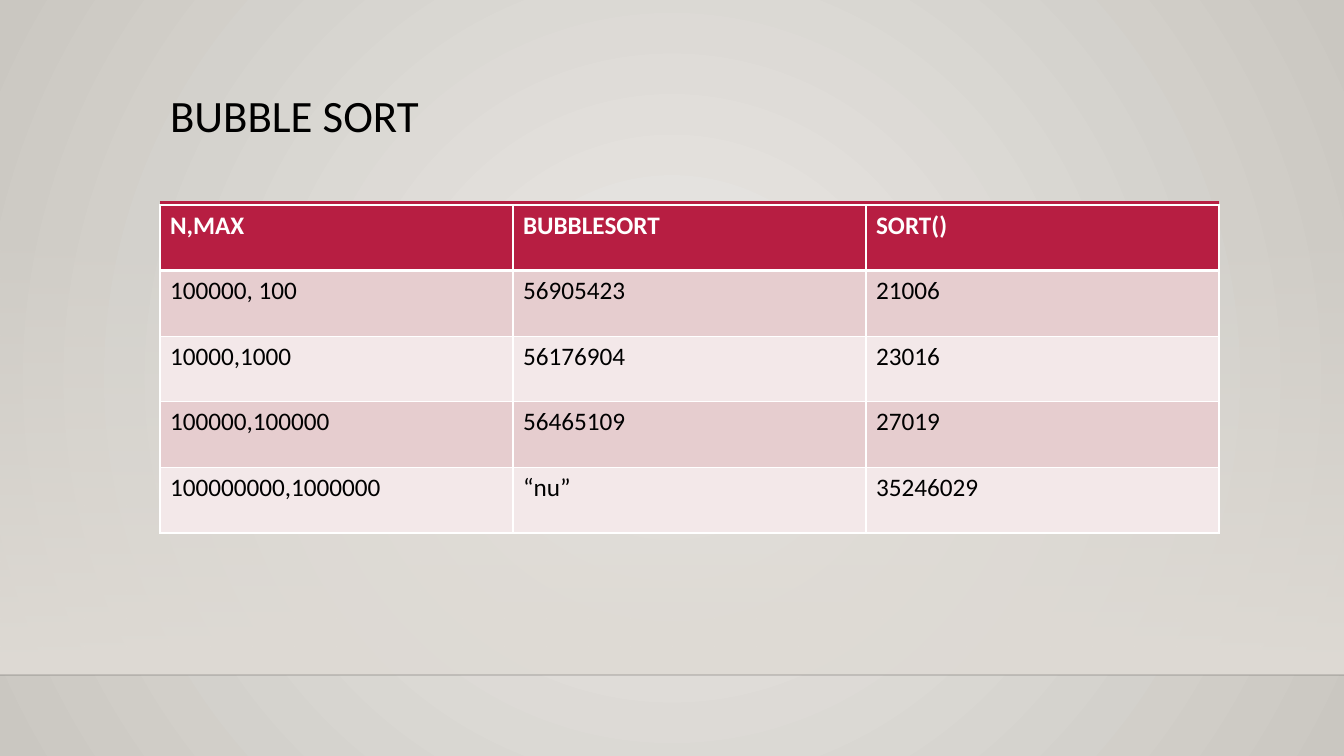
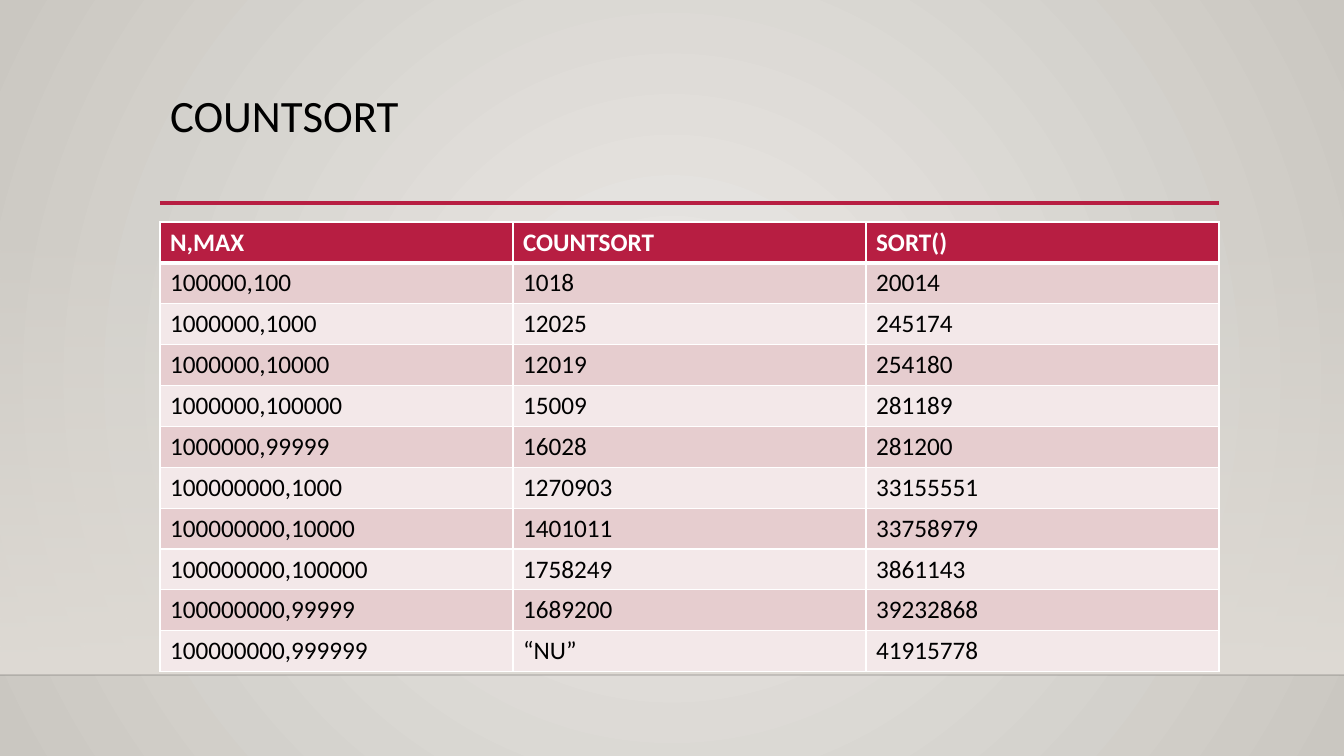
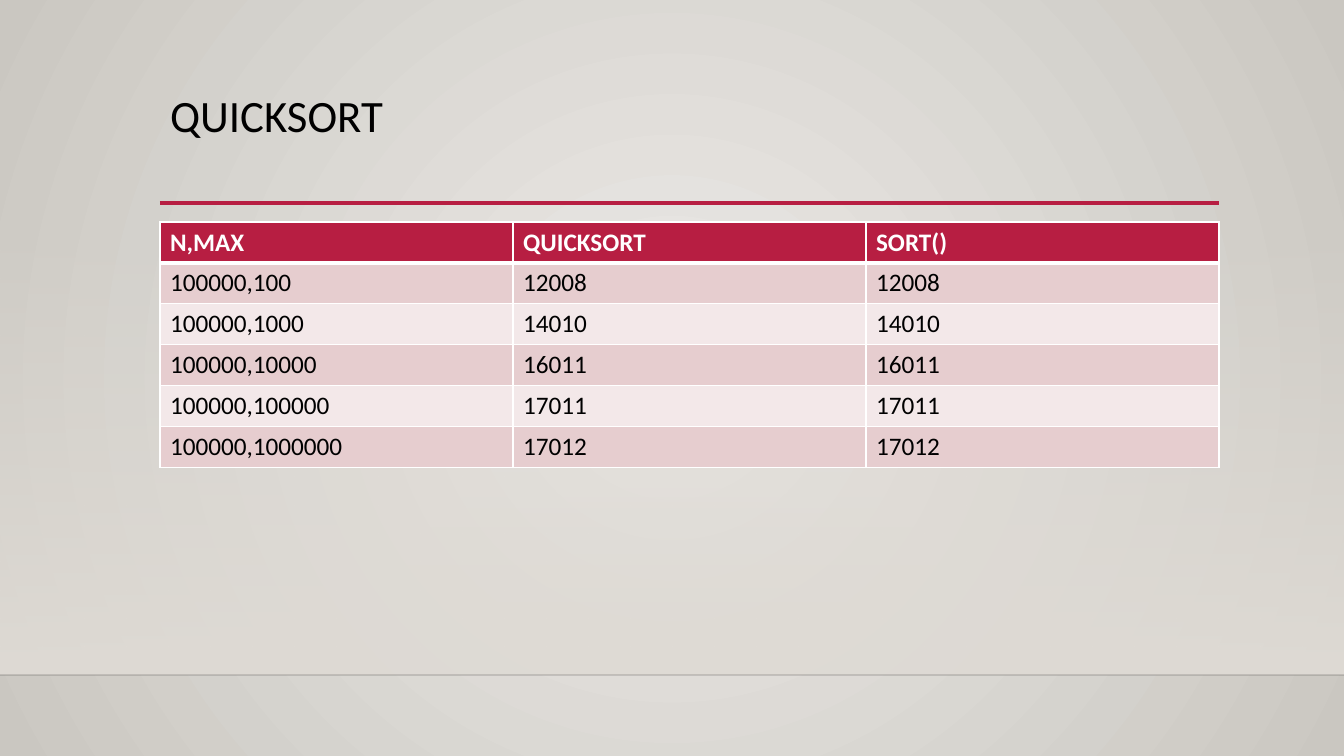
"""Build three slides that compare sorting algorithms with the built-in sort()."""
import pptx
import pptx.dml.color
import pptx.enum.shapes
import pptx.enum.text
import pptx.oxml
import pptx.oxml.ns
import pptx.util
from lxml import etree

RGB = pptx.dml.color.RGBColor
qn = pptx.oxml.ns.qn
NS = pptx.oxml.ns.nsdecls("a")
PX = 914400 / 100.8

RED = RGB(0xB7, 0x1E, 0x42)
PINK = RGB(0xE6, 0xCD, 0xCF)
PALE = RGB(0xF3, 0xE8, 0xE9)
WHITE = RGB(0xFF, 0xFF, 0xFF)
BLACK = RGB(0x00, 0x00, 0x00)
SAND = RGB(0xDF, 0xDB, 0xD5)
LIGHT = RGB(0xEC, 0xEA, 0xE7)
GREY = RGB(0xCA, 0xC7, 0xC1)

W, H = 1344, 756
LEFT, RIGHT, RULE_Y, FLOOR_Y = 160, 1219, 203, 675


def px(*lengths):
    return [pptx.util.Emu(round(n * PX)) for n in lengths]


def write(tf, text, size=18, color=BLACK, bold=False, spacing=None):
    p = tf.paragraphs[0]
    p.alignment = pptx.enum.text.PP_ALIGN.LEFT
    p.line_spacing = spacing
    r = p.add_run()
    r.text = text
    r.font.name = "Calibri"
    r.font.size = pptx.util.Pt(size)
    r.font.bold = bold
    r.font.color.rgb = color


tables = [
    ("BUBBLE SORT", 205, 328, [
        ("N,MAX", "BUBBLESORT", "SORT()"),
        ("100000, 100", "56905423", "21006"),
        ("10000,1000", "56176904", "23016"),
        ("100000,100000", "56465109", "27019"),
        ("100000000,1000000", "“nu”", "35246029"),
    ]),
    ("COUNTSORT", 222, 450, [
        ("N,MAX", "COUNTSORT", "SORT()"),
        ("100000,100", "1018", "20014"),
        ("1000000,1000", "12025", "245174"),
        ("1000000,10000", "12019", "254180"),
        ("1000000,100000", "15009", "281189"),
        ("1000000,99999", "16028", "281200"),
        ("100000000,1000", "1270903", "33155551"),
        ("100000000,10000", "1401011", "33758979"),
        ("100000000,100000", "1758249", "3861143"),
        ("100000000,99999", "1689200", "39232868"),
        ("100000000,999999", "“NU”", "41915778"),
    ]),
    ("QUICKSORT", 222, 245, [
        ("N,MAX", "QUICKSORT", "SORT()"),
        ("100000,100", "12008", "12008"),
        ("100000,1000", "14010", "14010"),
        ("100000,10000", "16011", "16011"),
        ("100000,100000", "17011", "17011"),
        ("100000,1000000", "17012", "17012"),
    ]),
]

prs = pptx.Presentation()
prs.slide_width, prs.slide_height = px(W, H)

master = prs.slide_master
fill = master.background.fill
fill.gradient()
for stop, color in zip(fill.gradient_stops, (LIGHT, GREY)):
    stop.color.rgb = color
lin = next(master.element.iter(qn("a:lin")))
lin.getparent().replace(lin, pptx.oxml.parse_xml(
    f'<a:path {NS} path="circle"><a:fillToRect l="50000" t="50000" r="50000" b="50000"/></a:path>'))

for title, top, height, rows in tables:
    s = prs.slides.add_slide(prs.slide_layouts.get_by_name("Title Only"))

    band = s.shapes.add_shape(pptx.enum.shapes.MSO_SHAPE.RECTANGLE, *px(0, 223, W, FLOOR_Y - 223))
    band.shadow.inherit = False
    band.line.fill.background()
    band.fill.gradient()
    band.fill.gradient_angle = 270
    for stop in band.fill.gradient_stops:
        stop.color.rgb = SAND
    clear = next(band.element.iter(qn("a:srgbClr")))
    etree.SubElement(clear, qn("a:alpha"), val="0")

    for x1, x2, y, color, width, alpha in [
        (0, W, FLOOR_Y, BLACK, 1, 20),
        (LEFT, RIGHT, RULE_Y, RED, 2.5, 100),
    ]:
        line = s.shapes.add_connector(pptx.enum.shapes.MSO_CONNECTOR.STRAIGHT, *px(x1, y, x2, y))
        line.line.color.rgb = color
        line.line.width = pptx.util.Pt(width)
        ink = next(line.element.iter(qn("a:srgbClr")))
        etree.SubElement(ink, qn("a:alpha"), val=str(alpha * 1000))
        etree.SubElement(line.element.spPr, qn("a:effectLst"))

    head = s.shapes.title
    head.left, head.top, head.width, head.height = px(LEFT, 89, RIGHT - LEFT, 115)
    head.text_frame.vertical_anchor = pptx.enum.text.MSO_ANCHOR.TOP
    write(head.text_frame, title, size=32, spacing=0.9)

    table = s.shapes.add_table(len(rows), 3, *px(LEFT, top, RIGHT - LEFT, height)).table
    for i, row in enumerate(rows):
        for j, text in enumerate(row):
            cell = table.cell(i, j)
            tcPr = cell._tc.get_or_add_tcPr()
            for side in "LRTB":
                thick = (i, side) in [(0, "B"), (1, "T")]
                tcPr.append(pptx.oxml.parse_xml(
                    f'<a:ln{side} {NS} w="{38100 if thick else 12700}">'
                    f'<a:solidFill><a:srgbClr val="{WHITE}"/></a:solidFill></a:ln{side}>'))
            cell.fill.solid()
            cell.fill.fore_color.rgb = RED if i == 0 else PINK if i % 2 else PALE
            write(cell.text_frame, text, color=BLACK if i else WHITE, bold=i == 0)

prs.save("out.pptx")
